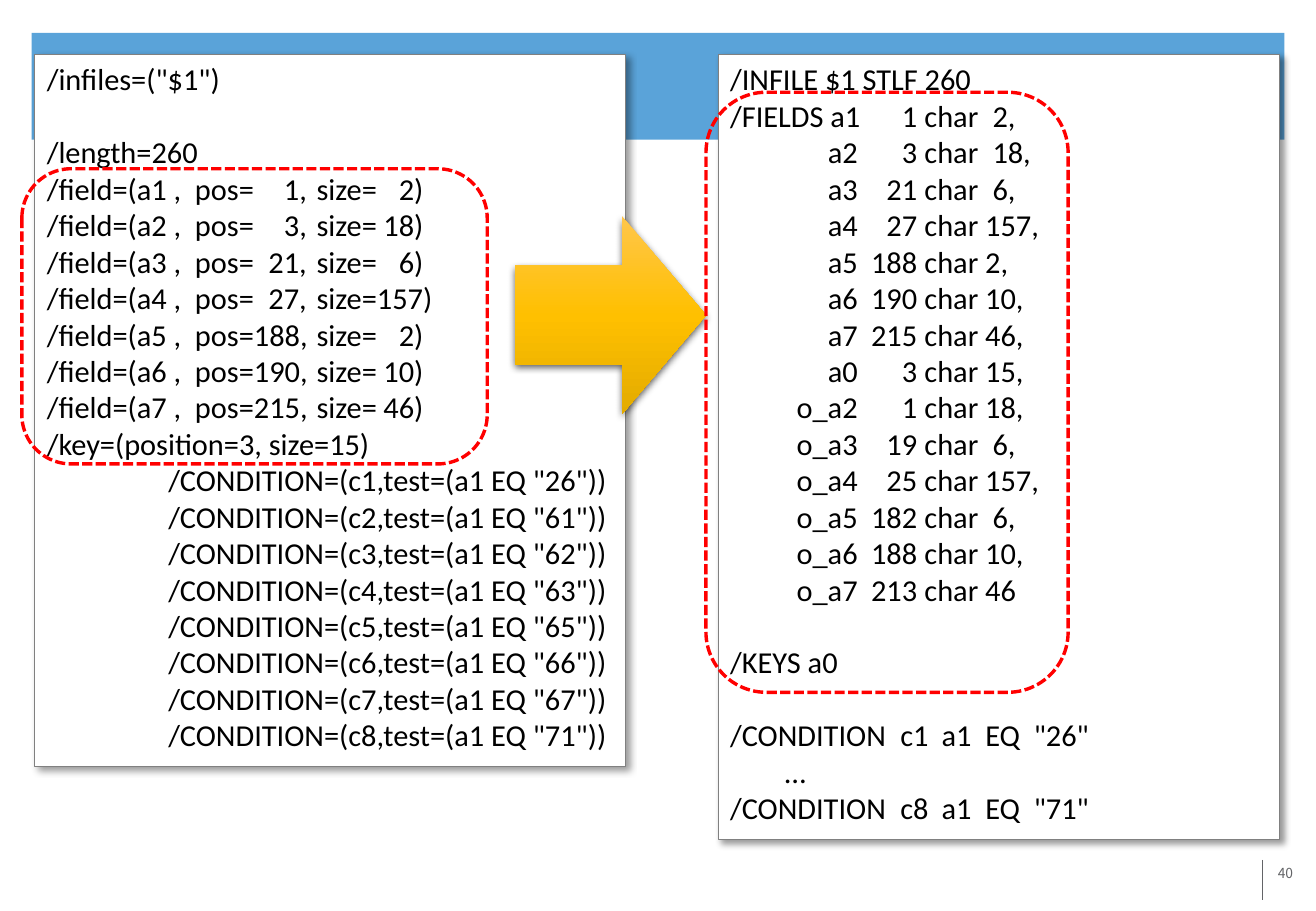
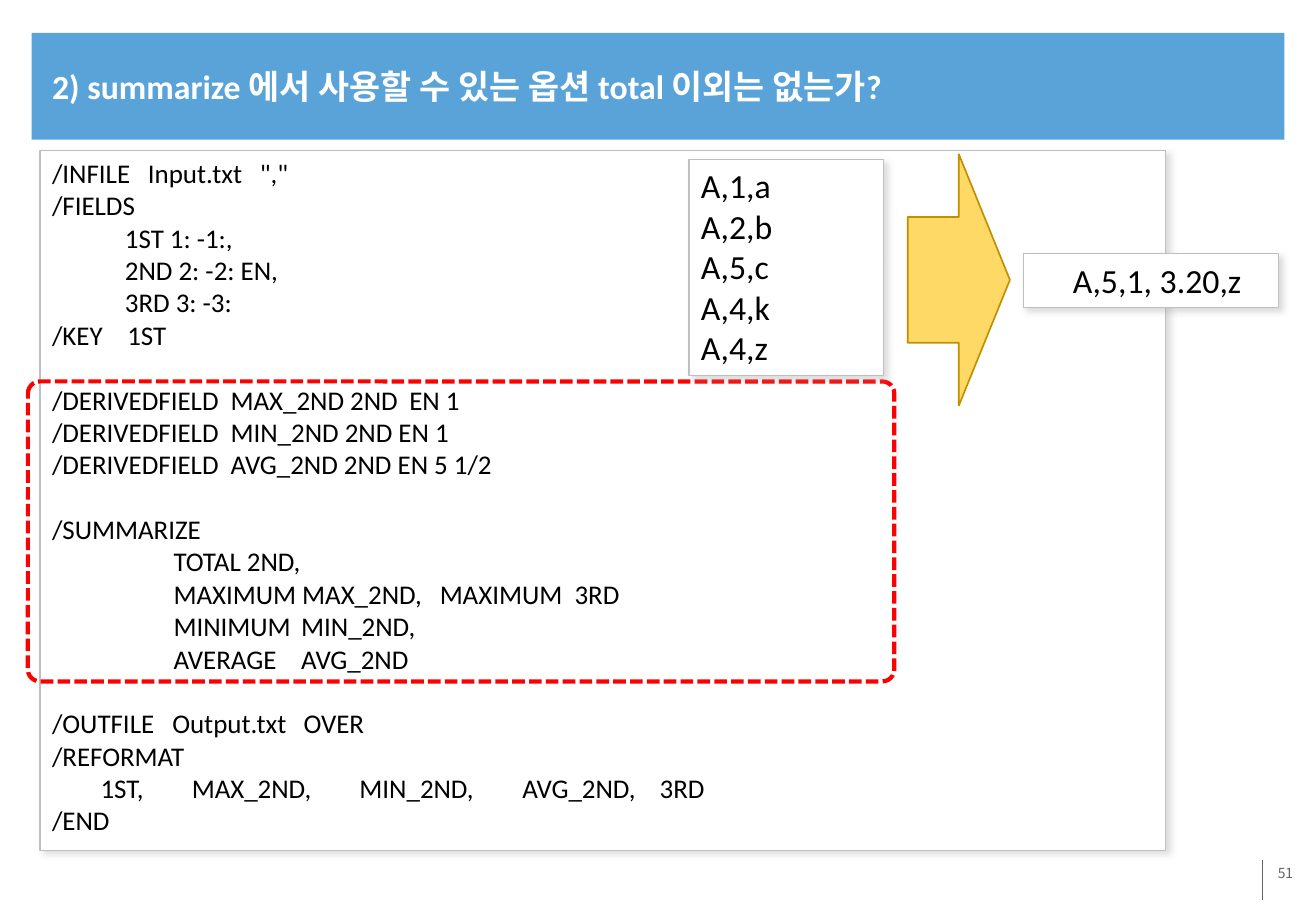
from dataclasses import dataclass
from typing import NamedTuple

from copy import deepcopy
from lxml import etree
from pptx import Presentation
from pptx.dml.color import RGBColor
from pptx.enum.dml import MSO_LINE
from pptx.enum.shapes import MSO_CONNECTOR, MSO_SHAPE
from pptx.enum.text import MSO_ANCHOR, PP_ALIGN
from pptx.oxml.ns import qn
from pptx.util import Inches, Pt

RECT = MSO_SHAPE.RECTANGLE
ROUND = MSO_SHAPE.ROUNDED_RECTANGLE
SOFT = MSO_SHAPE.FLOWCHART_ALTERNATE_PROCESS
ARROW = MSO_SHAPE.RIGHT_ARROW
STRAIGHT = MSO_CONNECTOR.STRAIGHT
DASH = MSO_LINE.SQUARE_DOT
TOP, MIDDLE = MSO_ANCHOR.TOP, MSO_ANCHOR.MIDDLE
LEFT, RIGHT = PP_ALIGN.LEFT, PP_ALIGN.RIGHT

WIDE, HIGH = Inches(10.83), Inches(7.5)
LEADING = 1.2
LATIN, HANGUL = "Calibri", "Noto Sans CJK KR"
HUES = {
    "band": "5AA3D9", "foot": "636467", "white": "FFFFFF", "black": "000000",
    "edge": "808080", "pale": "BFBFBF", "haze": "A6A6A6", "ring": "FF0000",
    "sand": "FFD966", "rust": "BF9000",
    "glow": "FFC64B", "gold": "FFC000", "deep": "E3AB00",
}


class Box(NamedTuple):
    x: float
    y: float
    w: float
    h: float


class Shade(NamedTuple):
    hue: str
    alpha: int
    blur: float
    dist: float
    turn: int


@dataclass
class Block:
    lines: tuple[str, ...]
    gap: int = 0
    dent: float = 0
    tabs: tuple[float, ...] = ()
    ends: tuple[float, ...] = ()


@dataclass
class Panel:
    box: Box
    size: int
    edge: str
    shade: Shade
    blocks: tuple[Block, ...]


@dataclass
class Ring:
    box: Box
    kind: MSO_SHAPE
    weight: float
    curve: float | None = None


DARK = Shade("black", 40, 4, 3, 45)
LIGHT = Shade("haze", 40, 4, 3, 45)
DROP = Shade("black", 63, 4.5, 1.5, 90)


def across(share: float) -> int:
    return round(WIDE * share / 100)


def down(share: float) -> int:
    return round(HIGH * share / 100)


def place(box: Box) -> tuple[int, int, int, int]:
    return across(box.x), down(box.y), across(box.w), down(box.h)


def tint(name: str) -> RGBColor:
    return RGBColor.from_string(HUES[name])


def cast(shape, shade: Shade) -> None:
    effects = shape._element.spPr.find(qn("a:effectLst"))
    outer = etree.SubElement(
        effects, qn("a:outerShdw"), blurRad=str(Pt(shade.blur)),
        dist=str(Pt(shade.dist)), dir=str(shade.turn * 60000),
        algn="tl", rotWithShape="0")
    hue = etree.SubElement(outer, qn("a:srgbClr"), val=HUES[shade.hue])
    etree.SubElement(hue, qn("a:alpha"), val=str(shade.alpha * 1000))


def draw(slide, kind, box: Box, fill: str | None = None,
         edge: str | None = None, weight: float = 0.75):
    shape = slide.shapes.add_shape(kind, *place(box))
    if fill:
        shape.fill.solid()
        shape.fill.fore_color.rgb = tint(fill)
    else:
        shape.fill.background()
    if edge:
        shape.line.color.rgb = tint(edge)
        shape.line.width = Pt(weight)
    else:
        shape.line.fill.background()
    shape.shadow.inherit = False
    return shape


def write(para, text: str, size: float, hue: str,
          face: str = LATIN, bold: bool = False) -> None:
    run = para.add_run()
    run.text = text
    run.font.size, run.font.name, run.font.bold = Pt(size), face, bold
    run.font.color.rgb = tint(hue)
    etree.SubElement(run._r.get_or_add_rPr(), qn("a:ea"), typeface=HANGUL)


def align(para, block: Block) -> None:
    props = para._p.get_or_add_pPr()
    if block.dent:
        props.set("marL", str(across(block.dent)))
    stops = sorted([(at, "l") for at in block.tabs] + [(at, "r") for at in block.ends])
    if stops:
        tabs = etree.SubElement(props, qn("a:tabLst"))
        for at, side in stops:
            etree.SubElement(tabs, qn("a:tab"), pos=str(across(at)), algn=side)


def label(slide, box: Box, text: str, size: float, hue: str, face: str = LATIN,
          side=LEFT, anchor=TOP, bold: bool = False):
    frame = slide.shapes.add_textbox(*place(box)).text_frame
    frame.word_wrap, frame.vertical_anchor = True, anchor
    para = frame.paragraphs[0]
    para.alignment = side
    write(para, text, size, hue, face, bold)
    return frame


def show(slide, panel: Panel) -> None:
    shape = draw(slide, RECT, panel.box, "white", panel.edge)
    cast(shape, panel.shade)
    frame = shape.text_frame
    frame.word_wrap, frame.vertical_anchor = True, TOP
    para = frame.paragraphs[0]
    for block in panel.blocks:
        for row, line in enumerate(block.lines):
            if para.runs:
                para = frame.add_paragraph()
            para.alignment = LEFT
            if block.gap and row == 0:
                para.space_before = Pt(panel.size * LEADING * block.gap)
            align(para, block)
            write(para, line, panel.size, "black")


def circle(slide, ring: Ring) -> None:
    shape = draw(slide, ring.kind, ring.box, None, "ring", ring.weight)
    shape.line.dash_style = DASH
    if ring.curve is not None:
        shape.adjustments[0] = ring.curve


def blend(shape, hues: tuple[str, ...]) -> None:
    shape.fill.gradient()
    shape.fill.gradient_angle = 270
    group = shape._element.spPr.find(qn("a:gradFill")).find(qn("a:gsLst"))
    while len(group) < len(hues):
        group.append(deepcopy(group[0]))
    for step, (stop, hue) in enumerate(zip(shape.fill.gradient_stops, hues)):
        stop.position = step / (len(hues) - 1)
        stop.color.rgb = tint(hue)


def start(deck, page: int):
    slide = deck.slides.add_slide(deck.slide_layouts[6])
    draw(slide, RECT, Box(2.4, 3.6, 95.2, 11.73), "band")
    frame = label(slide, Box(82, 94.4, 16.9, 6.67), str(page), 8.2, "foot", HANGUL, RIGHT)
    frame.margin_left = frame.margin_right = Inches(0.07)
    frame.margin_top = frame.margin_bottom = Inches(0.04)
    rule = slide.shapes.add_connector(
        STRAIGHT, across(95.94), down(94.4), across(95.94), down(98.8))
    rule.line.color.rgb, rule.line.width = tint("foot"), Pt(0.75)
    etree.SubElement(rule._element.spPr, qn("a:effectLst"))
    return slide


TESTS = (26, 61, 62, 63, 65, 66, 67, 71)
CHECK = (12.93, 16.07, 19.39, 23.08)

BEFORE = Panel(Box(2.65, 6, 44.88, 78.13), 18, "edge", DARK, (
    Block(('/infiles=("$1")',)),
    Block(("/length=260",), gap=1),
    Block((
        "/field=(a1 ,\tpos=\t1,\tsize=\t2)",
        "/field=(a2 ,\tpos=\t3,\tsize=\t18)",
        "/field=(a3 ,\tpos=\t21,\tsize=\t6)",
        "/field=(a4 ,\tpos=\t27,\tsize=157)",
        "/field=(a5 ,\tpos=188,\tsize=\t2)",
        "/field=(a6 ,\tpos=190,\tsize=\t10)",
        "/field=(a7 ,\tpos=215,\tsize=\t46)",
    ), tabs=(11.26, 20.5), ends=(19.76, 28.62)),
    Block(("/key=(position=3, size=15)",)),
    Block(tuple(f'/CONDITION=(c{n},test=(a1 EQ "{code}"))'
                for n, code in enumerate(TESTS, 1)), dent=9.23),
))

AFTER = Panel(Box(54.57, 6, 42.66, 86.13), 18, "edge", DARK, (
    Block(("/INFILE $1 STLF 260",)),
    Block((
        "/FIELDS a1\t1\tchar\t2,",
        "\ta2\t3\tchar\t18,",
        "\ta3\t21\tchar\t6,",
        "\ta4\t27\tchar 157,",
        "\ta5\t188\tchar 2,",
        "\ta6\t190\tchar 10,",
        "\ta7\t215\tchar 46,",
        "\ta0\t3\tchar 15,",
        "\to_a2\t1\tchar 18,",
        "\to_a3\t19\tchar\t6,",
        "\to_a4\t25\tchar 157,",
        "\to_a5\t182\tchar\t6,",
        "\to_a6\t188\tchar 10,",
        "\to_a7\t213\tchar 46",
    ), tabs=(14.77, 19.94), ends=(9.7, 14.22)),
    Block(("/KEYS a0",), gap=1),
    Block(('/CONDITION\tc1\ta1\tEQ\t"26"',), gap=1, tabs=CHECK),
    Block(("…",), dent=4.16),
    Block(('/CONDITION\tc8\ta1\tEQ\t"71"',), tabs=CHECK),
))

CODE = Panel(Box(3.05, 16.53, 85.5, 76.8), 16, "pale", LIGHT, (
    Block(('/INFILE\tInput.txt\t","',), tabs=(7.29, 15.79)),
    Block(("/FIELDS",)),
    Block(("1ST 1: -1:,", "2ND 2: -2: EN,", "3RD 3: -3:"), dent=5.54),
    Block(("/KEY\t1ST",), tabs=(5.72,)),
    Block((
        "/DERIVEDFIELD\tMAX_2ND 2ND\tEN 1",
        "/DERIVEDFIELD\tMIN_2ND 2ND EN 1",
        "/DERIVEDFIELD\tAVG_2ND 2ND EN 5 1/2",
    ), gap=1, tabs=(13.57, 27.15)),
    Block(("/SUMMARIZE",), gap=1),
    Block((
        "\tTOTAL 2ND,",
        "\tMAXIMUM MAX_2ND,\tMAXIMUM\t3RD",
        "\tMINIMUM\tMIN_2ND,",
        "\tAVERAGE\tAVG_2ND",
    ), tabs=(9.23, 18.93, 29.46, 39.7)),
    Block(("/OUTFILE\tOutput.txt\tOVER",), gap=1, tabs=(9.14, 19.11)),
    Block(("/REFORMAT",)),
    Block(("\t1ST,\tMAX_2ND,\tMIN_2ND,\tAVG_2ND,\t3RD",),
          tabs=(3.69, 10.62, 23.36, 35.73, 46.17)),
    Block(("/END",)),
))

INPUT = Panel(Box(52.35, 17.47, 14.77, 23.73), 20, "pale", LIGHT, (
    Block(("A,1,a", "A,2,b", "A,5,c", "A,4,k", "A,4,z")),))
RESULT = Panel(Box(77.75, 27.87, 19.39, 5.87), 20, "pale", LIGHT, (
    Block(("A,5,1, 3.20,z",), dent=2.86),))


def convert(deck) -> None:
    slide = start(deck, 40)
    for panel in (BEFORE, AFTER):
        show(slide, panel)
    arrow = draw(slide, ARROW, Box(39.15, 23.73, 14.5, 21.73), "gold")
    arrow.adjustments[1] = 0.44
    blend(arrow, ("glow", "gold", "deep"))
    cast(arrow, DROP)
    for box in (Box(1.66, 18.53, 35.36, 32.4), Box(53.65, 10.13, 27.52, 65.87)):
        circle(slide, Ring(box, SOFT, 2))


def total(deck) -> None:
    slide = start(deck, 51)
    label(slide, Box(3.05, 4.13, 94.18, 10.53),
          "2) summarize 에서 사용할 수 있는 옵션 total 이외는 없는가?",
          20, "white", anchor=MIDDLE, bold=True)
    show(slide, CODE)
    circle(slide, Ring(Box(2.12, 41.87, 65.84, 32.93), ROUND, 2.5, 0.04))
    for panel in (INPUT, RESULT):
        show(slide, panel)
    draw(slide, ARROW, Box(68.98, 16.93, 7.76, 27.6), "sand", "rust", 1)


def main() -> None:
    deck = Presentation()
    deck.slide_width, deck.slide_height = WIDE, HIGH
    convert(deck)
    total(deck)
    deck.save("out.pptx")


if __name__ == "__main__":
    main()
